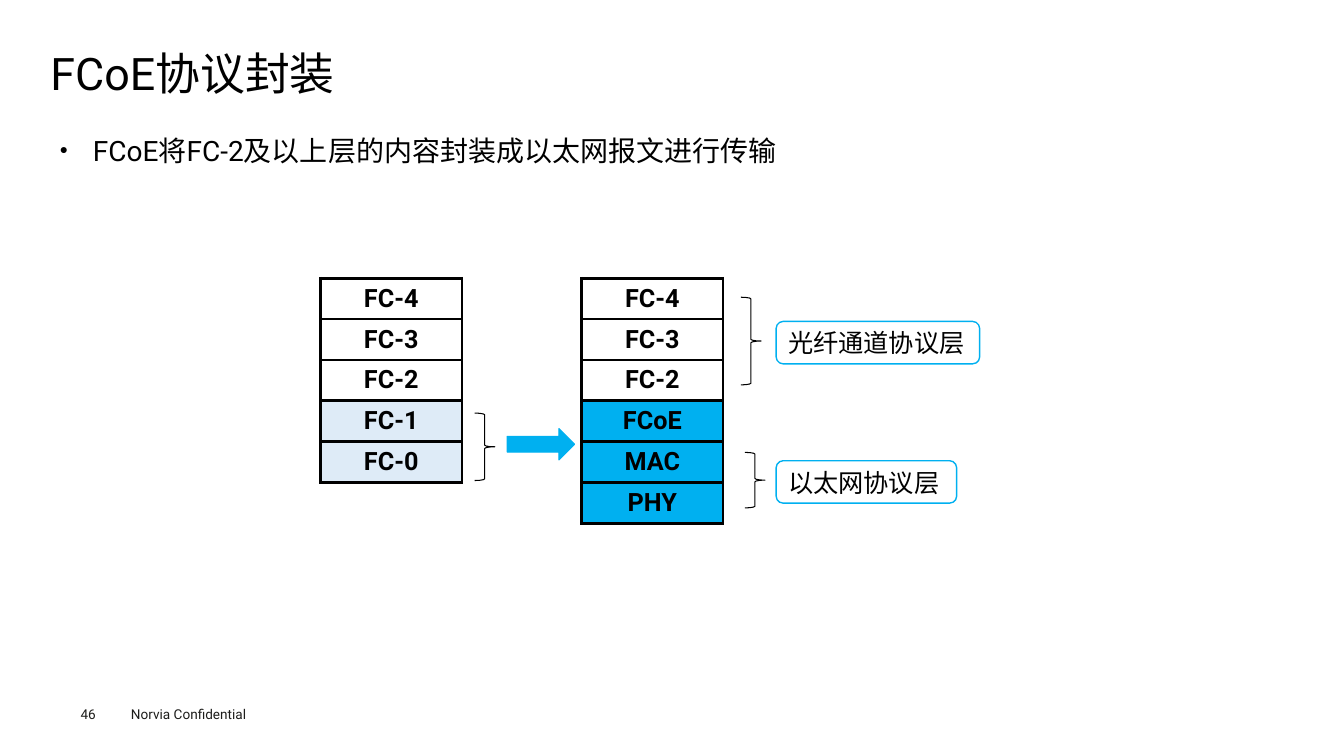
from lxml import etree
from pptx import Presentation
from pptx.dml.color import RGBColor
from pptx.enum import shapes, text
from pptx.oxml import ns
from pptx.util import Cm, Pt

BLACK = RGBColor(0, 0, 0)
CHARCOAL = RGBColor(0x1D, 0x1D, 0x1B)
CYAN = RGBColor(0x00, 0xB0, 0xF0)
PALE_BLUE = RGBColor(0xDE, 0xEB, 0xF7)
FONT = "Roboto"


def write(frame, words, size=18, color=BLACK, bold=False,
          align=text.PP_ALIGN.LEFT, anchor=text.MSO_ANCHOR.MIDDLE, spacing=1.0):
    frame.vertical_anchor = anchor
    para = frame.paragraphs[0]
    para.alignment = align
    para.line_spacing = spacing
    span = para.add_run()
    span.text = words
    span.font.size = Pt(size)
    span.font.bold = bold
    span.font.color.rgb = color
    span.font.name = FONT
    etree.SubElement(span.font._element, ns.qn("a:ea"), typeface=FONT)
    return para


def add_figure(kind, left, top, width, height, line, weight, fill=None):
    figure = page.shapes.add_shape(kind, Cm(left), Cm(top), Cm(width), Cm(height))
    figure.shadow.inherit = False
    figure.line.color.rgb = line
    figure.line.width = Pt(weight)
    if fill is None:
        figure.fill.background()
    else:
        figure.fill.solid()
        figure.fill.fore_color.rgb = fill
    return figure


deck = Presentation()
deck.slide_width = Cm(33.87)
deck.slide_height = Cm(19.05)
page = deck.slides.add_slide(deck.slide_layouts[1])

title = page.shapes.title
title.left, title.top, title.width, title.height = Cm(1.27), Cm(1.24), Cm(31.37), Cm(1.35)
frame = title.text_frame
frame.margin_left = frame.margin_right = frame.margin_top = frame.margin_bottom = 0
frame.auto_size = text.MSO_AUTO_SIZE.NONE
write(frame, "FCoE协议封装", size=32, spacing=0.9)

body = page.placeholders[1]
body.left, body.top, body.width, body.height = Cm(1.27), Cm(2.92), Cm(31.37), Cm(13.56)
frame = body.text_frame
frame.margin_left = frame.margin_right = Cm(0.23)
frame.margin_top = frame.margin_bottom = Cm(0.1)
frame.auto_size = text.MSO_AUTO_SIZE.NONE
para = write(frame, "FCoE将FC-2及以上层的内容封装成以太网报文进行传输", size=20,
             align=text.PP_ALIGN.JUSTIFY, anchor=text.MSO_ANCHOR.TOP, spacing=1.4)
para.space_before = Pt(7.9)
bullet = para._p.get_or_add_pPr()
bullet.set("marL", str(Cm(0.84)))
bullet.set("indent", str(-Cm(0.84)))
etree.SubElement(bullet, ns.qn("a:buSzPct"), val="50000")
etree.SubElement(bullet, ns.qn("a:buFont"), typeface="Arial")
etree.SubElement(bullet, ns.qn("a:buChar"), char="●")

ROW_HEIGHT = 1.03
STACK_WIDTH = 3.56
stacks = [
    (8.08, ["FC-4", "FC-3", "FC-2", "FC-1", "FC-0"], PALE_BLUE),
    (14.66, ["FC-4", "FC-3", "FC-2", "FCoE", "MAC", "PHY"], CYAN),
]
for left, layers, lower_fill in stacks:
    table = page.shapes.add_table(len(layers), 1, Cm(left), Cm(7.01), Cm(STACK_WIDTH),
                                  Cm(ROW_HEIGHT * len(layers))).table
    table.first_row = table.horz_banding = False
    for index, layer in enumerate(layers):
        table.rows[index].height = Cm(ROW_HEIGHT)
        cell = table.cell(index, 0)
        write(cell.text_frame, layer, bold=True, align=text.PP_ALIGN.CENTER)
        cell.vertical_anchor = text.MSO_ANCHOR.MIDDLE
        properties = cell._tc.get_or_add_tcPr()
        for side in ("a:lnL", "a:lnR", "a:lnT", "a:lnB"):
            border = etree.SubElement(properties, ns.qn(side), w=str(Pt(2.25)))
            paint = etree.SubElement(border, ns.qn("a:solidFill"))
            etree.SubElement(paint, ns.qn("a:srgbClr"), val=str(BLACK))
        if index < 3:
            cell.fill.background()
        else:
            cell.fill.solid()
            cell.fill.fore_color.rgb = lower_fill

for left, top, height in [(11.96, 10.41, 1.7), (18.67, 7.49, 2.21), (18.77, 11.4, 1.4)]:
    add_figure(shapes.MSO_SHAPE.RIGHT_BRACE, left, top, 0.51, height, BLACK, 0.75)

add_figure(shapes.MSO_SHAPE.RIGHT_ARROW, 12.78, 10.8, 1.7, 0.79, CYAN, 0.75, CYAN)

for words, top, width in [("光纤通道协议层", 8.1, 5.13), ("以太网协议层", 11.61, 4.55)]:
    label = add_figure(shapes.MSO_SHAPE.ROUNDED_RECTANGLE, 19.56, top, width, 1.07, CYAN, 1)
    label.text_frame.word_wrap = False
    write(label.text_frame, words)

for words, left, top, width, height, margin in [
    ("Norvia Confidential", 3.05, 17.65, 4.06, 0.69, 0.25),
    ("46", 2.03, 17.78, 1.4, 0.41, 0),
]:
    box = page.shapes.add_textbox(Cm(left), Cm(top), Cm(width), Cm(height))
    frame = box.text_frame
    frame.word_wrap = True
    frame.margin_left = frame.margin_right = Cm(margin)
    frame.margin_top = frame.margin_bottom = Cm(margin / 2)
    write(frame, words, size=9.7, color=CHARCOAL)

deck.save("out.pptx")
